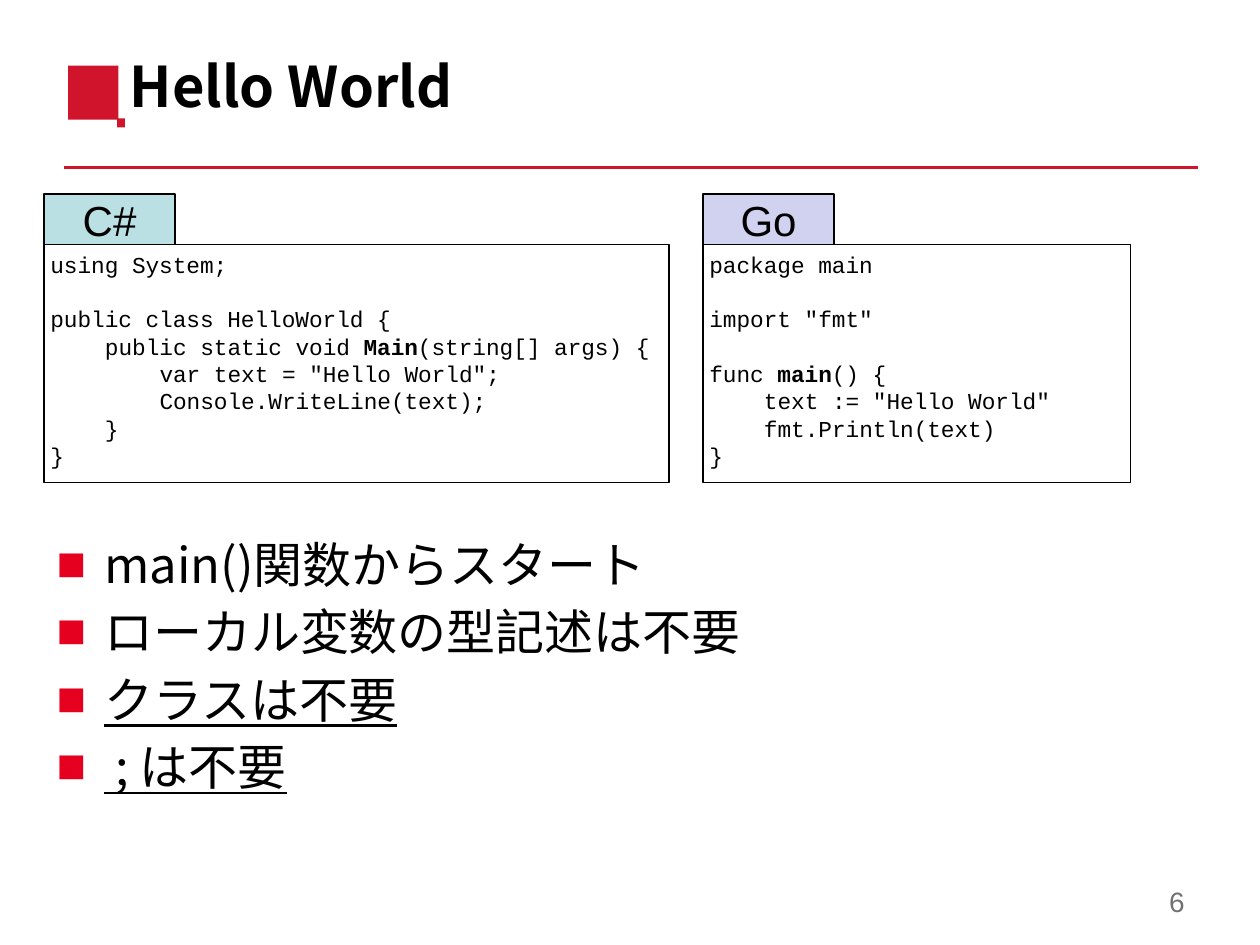
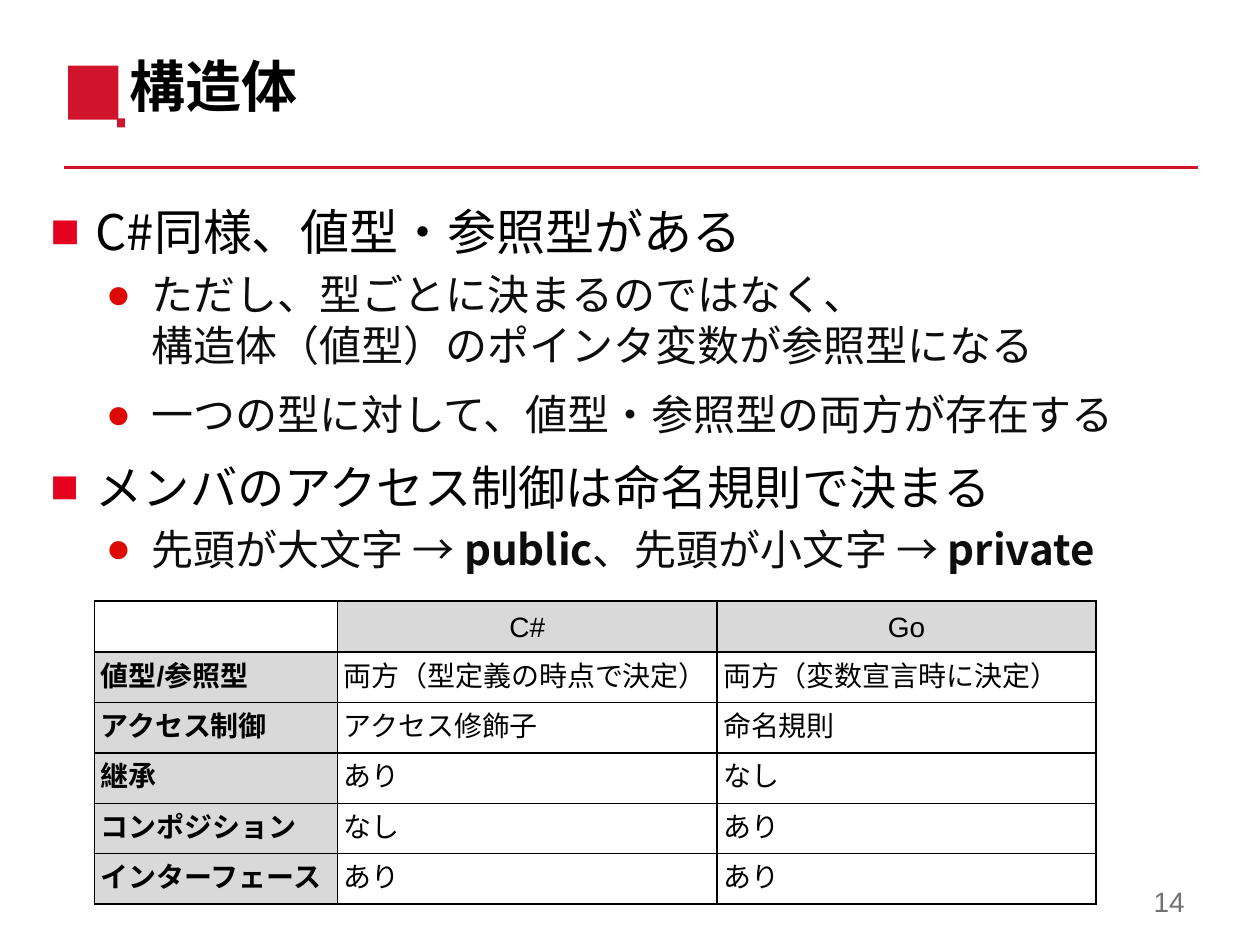
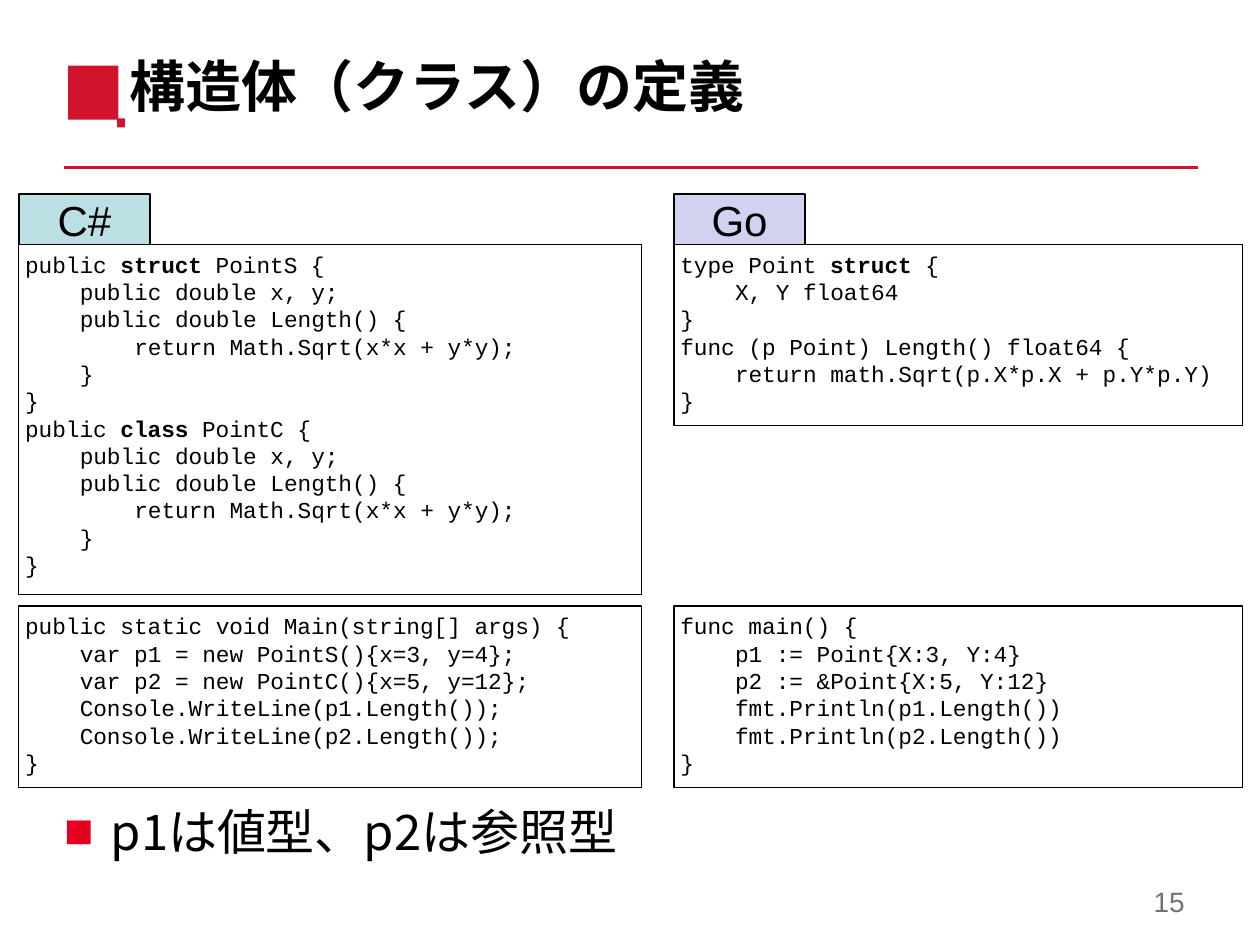
from lxml import etree
from pptx import Presentation
from pptx.dml.color import RGBColor
from pptx.enum.shapes import MSO_CONNECTOR, MSO_SHAPE
from pptx.enum.text import MSO_ANCHOR, MSO_AUTO_SIZE, PP_ALIGN
from pptx.oxml.ns import qn
from pptx.util import Inches, Pt

LEFT, CENTER, RIGHT = PP_ALIGN.LEFT, PP_ALIGN.CENTER, PP_ALIGN.RIGHT
TOP, MIDDLE = MSO_ANCHOR.TOP, MSO_ANCHOR.MIDDLE
RECTANGLE, ROUNDED = MSO_SHAPE.RECTANGLE, MSO_SHAPE.ROUNDED_RECTANGLE
STRAIGHT = MSO_CONNECTOR.STRAIGHT
NO_AUTOFIT = MSO_AUTO_SIZE.NONE

COLORS = {
    "accent": "CF142B", "square": "E6001F", "dot": "DC0904",
    "text": "000000", "detail": "0D0D0D", "number": "717171",
    "csharp": "BBE0E3", "go": "D1D1F0", "header": "D9D9D9", "cell": "FFFFFF",
}
SANS, ARIAL, MONO = "Noto Sans CJK JP", "Arial", "Courier New"
LINE_HEIGHT = 1.2
CODE_SIZE = 13
CODE_CHARACTER = 0.6 * CODE_SIZE
TITLE_ONLY = 5
TAB_WIDTH, TAB_TOP, CODE_TOP = 1.04, 1.54, 1.94
MARK = [(0.54, 0.52), (0.94, 0.52), (0.94, 0.94), (0.99, 0.94),
        (0.99, 1.01), (0.93, 1.01), (0.93, 0.95), (0.54, 0.95)]


def rgb(name):
    """Return the named colour."""
    return RGBColor.from_string(COLORS[name])


def box(left, top, width, height):
    """Turn inches into the four lengths of a frame."""
    return [Inches(value) for value in (left, top, width, height)]


def write(paragraph, text, *, size, font=SANS, color="text", align=LEFT,
          underline=False, before=0, after=0):
    """Fill a paragraph; **marks** make bold and newlines break lines."""
    paragraph.alignment = align
    paragraph.line_spacing = Pt(size * LINE_HEIGHT)
    paragraph.space_before, paragraph.space_after = Pt(before), Pt(after)
    for index, segment in enumerate(text.split("**")):
        for number, line in enumerate(segment.split("\n")):
            if number:
                paragraph.add_line_break()
            if not line:
                continue
            run = paragraph.add_run()
            run.text = line
            run.font.name, run.font.size = font, Pt(size)
            run.font.bold = index % 2 == 1
            run.font.underline = underline
            run.font.color.rgb = rgb(color)
            east_asian = etree.Element(qn("a:ea"), typeface=SANS)
            run.font._element.find(qn("a:latin")).addnext(east_asian)


def indent(paragraph, margin, first=0):
    """Set the left margin and first-line indent in inches."""
    properties = paragraph._p.get_or_add_pPr()
    properties.set("marL", str(Inches(margin)))
    properties.set("indent", str(Inches(first)))
    return properties


def add_bullet(paragraph, character, color, margin, hanging):
    """Give a paragraph a coloured bullet with a hanging indent."""
    properties = indent(paragraph, margin, -hanging)
    bullet_color = etree.SubElement(properties, qn("a:buClr"))
    etree.SubElement(bullet_color, qn("a:srgbClr"), val=COLORS[color])
    etree.SubElement(properties, qn("a:buFont"), typeface=ARIAL)
    etree.SubElement(properties, qn("a:buChar"), char=character)


def add_borders(cell):
    """Draw a thin line on all four sides of a cell."""
    properties = cell._tc.get_or_add_tcPr()
    for index, side in enumerate(("lnL", "lnR", "lnT", "lnB")):
        line = etree.Element(qn(f"a:{side}"), w=str(Pt(1)))
        fill = etree.SubElement(line, qn("a:solidFill"))
        etree.SubElement(fill, qn("a:srgbClr"), val=COLORS["text"])
        properties.insert(index, line)


class Deck:
    """Holds the presentation, its style and the current slide."""

    def __init__(self):
        """Start an empty presentation."""
        self.presentation = Presentation()
        self.presentation.slide_width = Inches(10)
        self.presentation.slide_height = Inches(7.5)
        self.slide = None

    def start_slide(self, title, number):
        """Add a slide with its title, rule, mark and number."""
        layout = self.presentation.slide_layouts[TITLE_ONLY]
        self.slide = self.presentation.slides.add_slide(layout)
        self.rule()
        self.mark()
        shape = self.slide.shapes.title
        shape.left, shape.top, shape.width, shape.height = box(0.93, 0.36, 7.05, 0.7)
        frame = self.frame(shape, side=0.1)
        write(frame.paragraphs[0], f"**{title}**", size=32)
        frame = self.text_box(7.35, 6.95, 2.15, 0.4, anchor=MIDDLE)
        write(frame.paragraphs[0], str(number), size=16, font=ARIAL,
              color="number", align=RIGHT)

    def frame(self, shape, side=0.05, anchor=TOP):
        """Prepare the text frame of a shape."""
        frame = shape.text_frame
        frame.word_wrap = True
        frame.auto_size = NO_AUTOFIT
        frame.vertical_anchor = anchor
        frame.margin_left = frame.margin_right = Inches(side)
        frame.margin_top = frame.margin_bottom = Inches(0.05)
        return frame

    def text_box(self, left, top, width, height, side=0.1, anchor=TOP, shapes=None):
        """Add a text box and return its frame."""
        shapes = shapes or self.slide.shapes
        shape = shapes.add_textbox(*box(left, top, width, height))
        return self.frame(shape, side, anchor)

    def rule(self):
        """Draw the line under the title."""
        line = self.slide.shapes.add_connector(
            STRAIGHT, Inches(0.51), Inches(1.33), Inches(9.51), Inches(1.33))
        line.line.color.rgb, line.line.width = rgb("accent"), Pt(2)
        etree.SubElement(line._element.spPr, qn("a:effectLst"))

    def mark(self):
        """Draw the red square with its small corner block."""
        points = [(Inches(x), Inches(y)) for x, y in MARK]
        builder = self.slide.shapes.build_freeform(*points[0])
        builder.add_line_segments(points[1:], close=True)
        shape = builder.convert_to_shape()
        shape.shadow.inherit = False
        shape.fill.solid()
        shape.fill.fore_color.rgb = rgb("accent")
        shape.line.fill.background()

    def code(self, left, top, width, height, source):
        """Add a framed listing; leading spaces become indents."""
        shape = self.slide.shapes.add_shape(RECTANGLE, *box(left, top, width, height))
        shape.shadow.inherit = False
        shape.fill.background()
        shape.line.color.rgb, shape.line.width = rgb("text"), Pt(0.75)
        frame = self.frame(shape)
        paragraph, gap = frame.paragraphs[0], 0
        for index, line in enumerate(source.strip().split("\n")):
            if not line:
                gap += CODE_SIZE * LINE_HEIGHT
                continue
            if index:
                paragraph = frame.add_paragraph()
            text = line.lstrip()
            write(paragraph, text, size=CODE_SIZE, font=MONO, before=gap)
            indent(paragraph, (len(line) - len(text)) * CODE_CHARACTER / 72)
            gap = 0

    def language_tab(self, left, name, color):
        """Add the coloured language label above a listing."""
        shapes = self.slide.shapes.add_group_shape().shapes
        shape = shapes.add_shape(ROUNDED, *box(left, TAB_TOP, TAB_WIDTH, 0.4))
        shape.adjustments[0] = 0
        shape.shadow.inherit = False
        shape.fill.solid()
        shape.fill.fore_color.rgb = rgb(color)
        shape.line.color.rgb, shape.line.width = rgb("text"), Pt(1)
        frame = self.text_box(left, 1.49, TAB_WIDTH, 0.5, side=0.05,
                              anchor=MIDDLE, shapes=shapes)
        write(frame.paragraphs[0], name, size=24, font=ARIAL, align=CENTER)

    def language_tabs(self, csharp_left, go_left):
        """Add both language labels."""
        self.language_tab(csharp_left, "C#", "csharp")
        self.language_tab(go_left, "Go", "go")

    def bullets(self, left, top, width, height, items, side=0.1, hanging=0.38):
        """Add bullets from (level, text, format) items."""
        frame = self.text_box(left, top, width, height, side=side)
        for index, (level, text, options) in enumerate(items):
            paragraph = frame.add_paragraph() if index else frame.paragraphs[0]
            paragraph.level = level
            if level:
                style = {"size": 24, "color": "detail", "before": 4.8, "after": 6}
                bullet = ("●", "dot", 0.8, hanging)
            else:
                style = {"size": 28, "before": 5}
                bullet = ("■", "square", hanging, hanging)
            write(paragraph, text, **{**style, **options})
            add_bullet(paragraph, *bullet)

    def table(self, left, top, widths, row_height, rows):
        """Add a table with a grey header row and a grey first column."""
        shape = self.slide.shapes.add_table(
            len(rows), len(widths),
            *box(left, top, sum(widths), row_height * len(rows)))
        table = shape.table
        table.first_row = table.horz_banding = False
        for column, width in zip(table.columns, widths):
            column.width = Inches(width)
        for row_index, row in enumerate(rows):
            table.rows[row_index].height = Inches(row_height)
            for column_index, text in enumerate(row):
                cell = table.cell(row_index, column_index)
                is_header = bool(text) and 0 in (row_index, column_index)
                cell.fill.solid()
                cell.fill.fore_color.rgb = rgb("header" if is_header else "cell")
                cell.vertical_anchor = MIDDLE
                cell.margin_left = cell.margin_right = Inches(0.05)
                cell.margin_top = cell.margin_bottom = Inches(0.05)
                if text and column_index == 0:
                    text = f"**{text}**"
                write(cell.text_frame.paragraphs[0], text, size=16, font=ARIAL,
                      align=LEFT if row_index else CENTER)
                add_borders(cell)


def hello_world(deck):
    """Build the Hello World comparison."""
    deck.start_slide("Hello World", 6)
    deck.bullets(0.35, 4.19, 9.65, 2.66, [
        (0, "main()関数からスタート", {}),
        (0, "ローカル変数の型記述は不要", {}),
        (0, "クラスは不要", {"underline": True}),
        (0, "\u00a0; は不要", {"underline": True}),
    ])
    deck.code(0.35, CODE_TOP, 4.96, 1.89, """
using System;

public class HelloWorld {
    public static void **Main**(string[] args) {
        var text = "Hello World";
        Console.WriteLine(text);
    }
}
""")
    deck.code(5.58, CODE_TOP, 3.39, 1.89, """
package main

import "fmt"

func **main**() {
    text := "Hello World"
    fmt.Println(text)
}
""")
    deck.language_tabs(0.35, 5.58)


def structures(deck):
    """Build the overview of structures."""
    deck.start_slide("構造体", 14)
    deck.bullets(0.35, 1.55, 9.15, 3.23, [
        (0, "C#同様、値型・参照型がある", {}),
        (1, "ただし、型ごとに決まるのではなく、\n"
            "構造体（値型）のポインタ変数が参照型になる", {}),
        (1, "一つの型に対して、値型・参照型の両方が存在する", {}),
        (0, "メンバのアクセス制御は命名規則で決まる", {"size": 27}),
        (1, "先頭が大文字 → **public**、先頭が小文字 → **private**", {}),
    ], side=0.05, hanging=0.36)
    deck.table(0.75, 4.77, [1.93, 3.01, 3.01], 0.4, [
        ("", "C#", "Go"),
        ("値型/参照型", "両方（型定義の時点で決定）", "両方（変数宣言時に決定）"),
        ("アクセス制御", "アクセス修飾子", "命名規則"),
        ("継承", "あり", "なし"),
        ("コンポジション", "なし", "あり"),
        ("インターフェース", "あり", "あり"),
    ])


def definitions(deck):
    """Build the comparison of structure definitions."""
    deck.start_slide("構造体（クラス）の定義", 15)
    csharp_left, csharp_width = 0.15, 4.94
    go_left, go_width = 5.35, 4.51
    usage_top, short_height = 4.81, 1.44
    members = """
    public double x, y;
    public double Length() {
        return Math.Sqrt(x*x + y*y);
    }
}
"""
    deck.code(csharp_left, CODE_TOP, csharp_width, 2.78,
              "public **struct** PointS {" + members
              + "public **class** PointC {" + members)
    deck.code(go_left, CODE_TOP, go_width, short_height, """
type Point **struct** {
    X, Y float64
}
func (p Point) Length() float64 {
    return math.Sqrt(p.X*p.X + p.Y*p.Y)
}
""")
    deck.language_tabs(csharp_left, go_left)
    deck.code(csharp_left, usage_top, csharp_width, short_height, """
public static void Main(string[] args) {
    var p1 = new PointS(){x=3, y=4};
    var p2 = new PointC(){x=5, y=12};
    Console.WriteLine(p1.Length());
    Console.WriteLine(p2.Length());
}
""")
    deck.code(go_left, usage_top, go_width, short_height, """
func main() {
    p1 := Point{X:3, Y:4}
    p2 := &Point{X:5, Y:12}
    fmt.Println(p1.Length())
    fmt.Println(p2.Length())
}
""")
    deck.bullets(0.41, 6.31, 9.65, 1.03,
                 [(0, "p1は値型、p2は参照型", {})], hanging=0.37)


deck = Deck()
hello_world(deck)
structures(deck)
definitions(deck)
deck.presentation.save("out.pptx")
